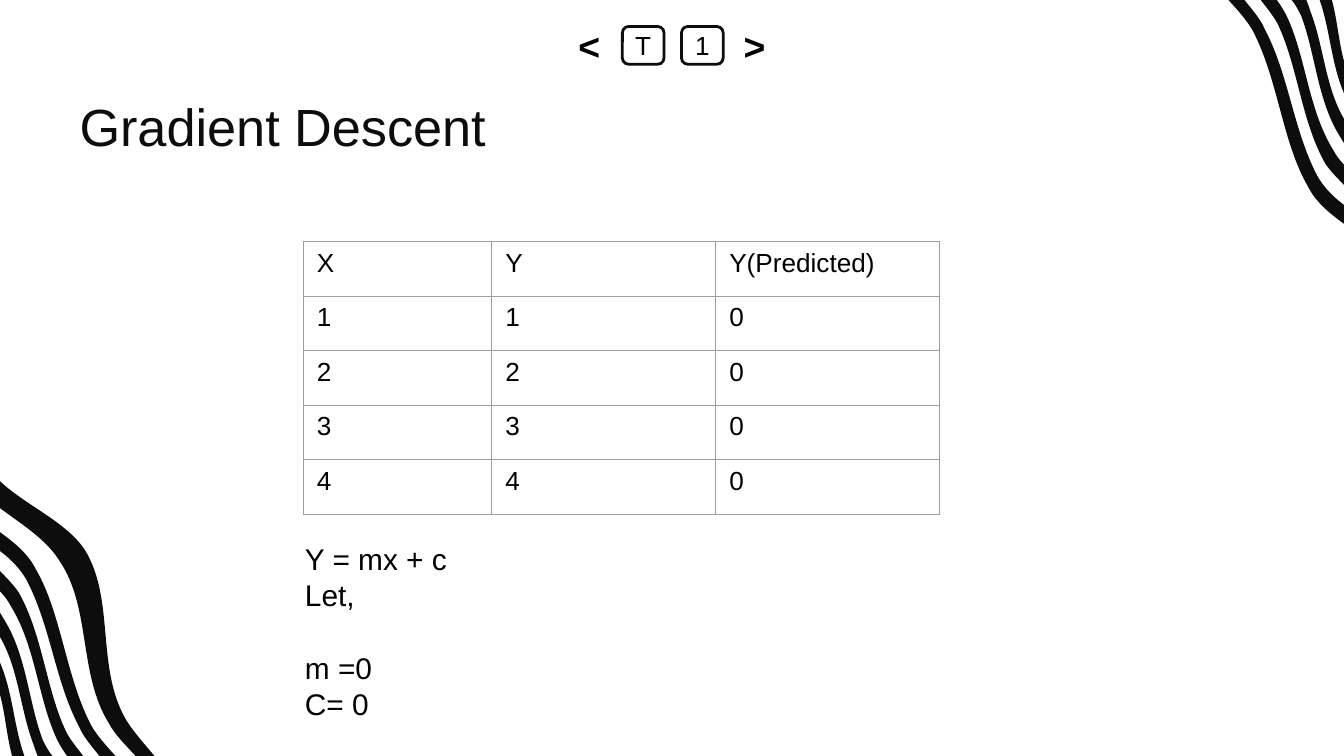
import pptx
import pptx.dml.color
import pptx.enum.shapes
import pptx.enum.text
import pptx.util
import lxml.etree
from pptx.oxml.ns import qn

Pt = pptx.util.Pt
WIDTH, HEIGHT = 720, 405
INK = "0D0D0D"


def color(value):
    return pptx.dml.color.RGBColor.from_string(value)


def write(frame, text, size=14, ink="000000", bold=False, align="LEFT", anchor="TOP", inset=None):
    """Fill a text frame, one paragraph per line of text."""
    frame.word_wrap = True
    frame.auto_size = pptx.enum.text.MSO_AUTO_SIZE.NONE
    frame.vertical_anchor = pptx.enum.text.MSO_ANCHOR[anchor]
    if inset is not None:
        frame.margin_left = frame.margin_right = Pt(inset)
        frame.margin_top = frame.margin_bottom = Pt(inset)
    frame.text = text
    for para in frame.paragraphs:
        para.alignment = pptx.enum.text.PP_ALIGN[align]
        for span in para.runs:
            span.font.name = "Arial"
            span.font.size = Pt(size)
            span.font.bold = bold
            span.font.color.rgb = color(ink)


deck = pptx.Presentation()
deck.slide_width, deck.slide_height = Pt(WIDTH), Pt(HEIGHT)
page = deck.slides.add_slide(deck.slide_layouts[5])

# Wavy stripes: each has two Bezier edges (a start, then three points per curve)
stripes = [
    ([(0, 272.2), (11.5, 280.8), (24.5, 288.7), (31.7, 300.2), (49, 325.4), (41.8, 360.7),
      (58.3, 387.4), (61.2, 393.1), (67, 398.9), (72.7, 405)],
     [(82.8, 405), (77, 398.2), (71.3, 391.7), (67.7, 385.9), (51.1, 357.8), (61.9, 321.1),
      (45.4, 294.5), (35.3, 279.4), (13.7, 270.7), (0, 257.8)]),
    ([(0, 295.2), (5.8, 299.5), (10.8, 304.6), (14.4, 311), (27.4, 336.2), (29.5, 365),
      (42.5, 389.5), (44.6, 394.6), (49, 399.6), (53.3, 405)],
     [(61.9, 405), (56.9, 399.6), (51.8, 393.8), (49, 388.8), (35.3, 362.9), (33.1, 329),
      (19.4, 305.3), (15.1, 296.6), (7.9, 290.9), (0, 285.1)]),
    ([(0, 316.8), (2.2, 319), (4.3, 321.8), (5.8, 324.7), (18.7, 345.6), (20.2, 372.2),
      (29.5, 393.8), (31, 397.4), (33.1, 401), (36, 405)],
     [(44.6, 405), (41, 400.3), (37.4, 396), (35.3, 391.7), (24.5, 368.6), (23, 340.6),
      (10.1, 317.5), (7.2, 313.2), (3.6, 309.6), (0, 306)]),
    ([(0, 341.3), (10.1, 358.6), (10.8, 380.2), (18, 398.9), (18.7, 401), (19.4, 403.2),
      (20.2, 405)],
     [(28.1, 405), (25.9, 402.5), (24.5, 399.6), (23, 396.7), (15.1, 375.8), (14.4, 351.4),
      (2.2, 331.9), (1.4, 330.5), (0.7, 329.8), (0, 328.3)]),
    ([(0, 372.2), (2.9, 383), (3.6, 394.6), (6.5, 405)],
     [(13, 405), (13, 403.9), (12.2, 403.2), (12.2, 402.5), (7.2, 386.6), (6.5, 370.1),
      (0, 355)]),
]
# The top right corner repeats all but the first stripe, turned by 180 degrees
stripes += [[[(WIDTH - x, HEIGHT - y) for x, y in edge] for edge in edges]
            for edges in stripes[1:]]

for near, far in stripes:
    corners = [(Pt(x), Pt(y)) for x, y in [*near, *far]]
    builder = page.shapes.build_freeform(*corners[0])
    builder.add_line_segments(corners[1:], close=True)
    stripe = builder.convert_to_shape()
    stripe.shadow.inherit = False
    stripe.fill.solid()
    stripe.fill.fore_color.rgb = color(INK)
    stripe.line.fill.background()
    # Join every three segments into a curve, keeping the line between the edges
    segments = list(stripe._element.iter(qn("a:lnTo")))
    bridge = len(near) - 1
    for curve_points in (segments[:bridge], segments[bridge + 1:bridge + len(far)]):
        for start in range(0, len(curve_points), 3):
            first, *others = curve_points[start:start + 3]
            curve = lxml.etree.Element(qn("a:cubicBezTo"))
            first.addprevious(curve)
            for segment in (first, *others):
                curve.append(segment[0])
                segment.getparent().remove(segment)

# Page navigator
for left, label, framed in [(365.1, "1", True), (333.4, "T", True),
                            (304.5, "<", False), (393.1, ">", False)]:
    key = page.shapes.add_shape(pptx.enum.shapes.MSO_SHAPE.ROUNDED_RECTANGLE,
                                Pt(left), Pt(14.2), Pt(22.3), Pt(20.2))
    key.shadow.inherit = False
    key.fill.solid()
    key.fill.fore_color.rgb = color("FFFFFF")
    if framed:
        key.line.color.rgb = color(INK)
        key.line.width = Pt(1.5)
    else:
        key.line.fill.background()
    write(key.text_frame, label, size=14 if framed else 20, bold=not framed,
          align="CENTER", anchor="MIDDLE", inset=0)

# Title
title = page.shapes.title
title.left, title.top, title.width, title.height = Pt(35.4), Pt(47.5), Pt(582.5), Pt(45.4)
write(title.text_frame, "Gradient Descent", size=28, ink=INK, anchor="MIDDLE", inset=7.2)
title.text_frame.paragraphs[0].line_spacing = 0.8

# Data table
rows = [("X", "Y", "Y(Predicted)")] + [(str(n), str(n), "0") for n in range(1, 5)]
column_widths = [100.9, 120, 120]
row_height = 29.2
holder = page.shapes.add_table(len(rows), len(column_widths), Pt(162.6), Pt(129.5),
                               Pt(sum(column_widths)), Pt(row_height * len(rows)))
table = holder.table
table.first_row = table.horz_banding = False
for column, width in zip(table.columns, column_widths):
    column.width = Pt(width)
for row, values in zip(table.rows, rows):
    row.height = Pt(row_height)
    for cell, value in zip(row.cells, values):
        write(cell.text_frame, value)
        cell.margin_left = cell.margin_right = Pt(7.2)
        cell.margin_top = cell.margin_bottom = Pt(3.6)
        cell.fill.background()
        properties = cell._tc.get_or_add_tcPr()
        for index, side in enumerate(("a:lnL", "a:lnR", "a:lnT", "a:lnB")):
            border = lxml.etree.Element(qn(side), w=str(Pt(0.75)))
            fill = lxml.etree.SubElement(border, qn("a:solidFill"))
            lxml.etree.SubElement(fill, qn("a:srgbClr"), val="9E9E9E")
            properties.insert(index, border)

# Model and starting values
model = page.shapes.add_textbox(Pt(156.3), Pt(286.2), Pt(193.7), Pt(104.4))
write(model.text_frame, "Y = mx + c\nLet,\nm =0\nC= 0", size=16)
for para in model.text_frame.paragraphs:
    para.line_spacing = Pt(19.3)
model.text_frame.paragraphs[2].space_before = Pt(19.3)

deck.save("out.pptx")
